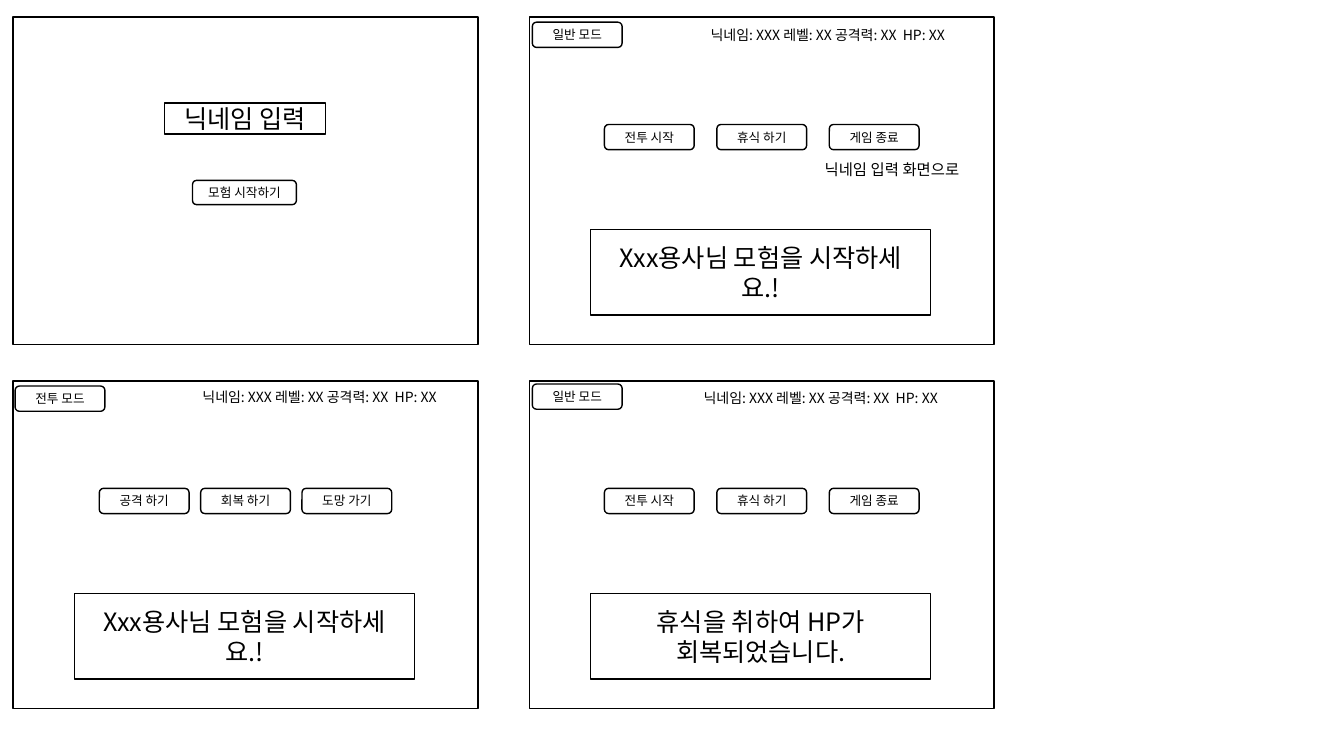
"""Draw four wireframe screens of a hero game on a fine slide grid."""
from dataclasses import dataclass

from lxml.etree import SubElement
from pptx import Presentation
from pptx.dml.color import RGBColor as Rgb
from pptx.enum.shapes import MSO_SHAPE as Kind
from pptx.enum.text import MSO_ANCHOR as Anchor, MSO_AUTO_SIZE as Fit, PP_ALIGN as Align
from pptx.oxml.ns import qn
from pptx.util import Inches, Pt

COLS, ROWS = 1333, 750
WIDE, HIGH = Inches(13.33), Inches(7.5)


@dataclass(frozen=True)
class Theme:
    font: str = "Noto Sans CJK KR"
    ink: Rgb = Rgb(0, 0, 0)
    paper: Rgb = Rgb(255, 255, 255)
    line: float = 1
    large: int = 18
    note: int = 11
    info: int = 10
    small: int = 9


@dataclass(frozen=True)
class Box:
    col: float
    row: float
    wide: float
    high: float

    def move(self, col: float, row: float) -> "Box":
        return Box(self.col + col, self.row + row, self.wide, self.high)

    def place(self) -> tuple[int, int, int, int]:
        return (round(self.col * WIDE / COLS), round(self.row * HIGH / ROWS),
                round(self.wide * WIDE / COLS), round(self.high * HIGH / ROWS))


@dataclass(frozen=True)
class Screen:
    col: int
    row: int
    mode: str
    mode_at: tuple[int, int]
    info_at: tuple[int, int]
    acts: tuple[str, ...]
    step: float
    news: str


THEME = Theme()
FRAME = Box(13, 17, 461, 325)
PITCH = (512, 361)
BUTTON = Box(186, 106.5, 89, 25)
BADGE = Box(0, 0, 89, 25)
INFO = Box(0, 0, 291, 27)
NEWS = Box(61, 210.5, 337, 85)
ENTRY = Box(150, 85, 160, 31)
START = Box(178, 162, 103, 24)
NOTE = Box(283, 137, 171, 29)

STATUS = "닉네임: XXX 레벨: XX 공격력: XX  HP: XX"
GREET = "Xxx용사님 모험을 시작하세요.!"
CALM = ("전투 시작", "휴식 하기", "게임 종료")
FIGHT = ("공격 하기", "회복 하기", "도망 가기")
SCREENS = (
    Screen(1, 0, "일반 모드", (3, 5), (170, 4), CALM, 111.5, GREET),
    Screen(0, 1, "전투 모드", (2, 5), (178, 3), FIGHT, 100.5, GREET),
    Screen(1, 1, "일반 모드", (3, 3), (163, 4), CALM, 111.5,
           "휴식을 취하여 HP가 회복되었습니다."),
)


def write(frame, text: str, *, size: int, align=Align.LEFT, anchor=Anchor.TOP) -> None:
    frame.word_wrap = True
    frame.vertical_anchor = anchor
    para = frame.paragraphs[0]
    para.alignment = align
    run = para.add_run()
    run.text = text
    font = run.font
    font.size, font.name = Pt(size), THEME.font
    font.color.rgb = THEME.ink
    SubElement(run._r.get_or_add_rPr(), qn("a:ea")).set("typeface", THEME.font)


def panel(slide, box: Box, text: str = "", *, kind=Kind.RECTANGLE,
          size: int = THEME.large) -> None:
    shape = slide.shapes.add_shape(kind, *box.place())
    shape.shadow.inherit = False
    shape.fill.solid()
    shape.fill.fore_color.rgb = THEME.paper
    shape.line.color.rgb = THEME.ink
    shape.line.width = Pt(THEME.line)
    if text:
        write(shape.text_frame, text, size=size, align=Align.CENTER, anchor=Anchor.MIDDLE)


def button(slide, box: Box, text: str) -> None:
    panel(slide, box, text, kind=Kind.ROUNDED_RECTANGLE, size=THEME.small)


def label(slide, box: Box, text: str, size: int) -> None:
    frame = slide.shapes.add_textbox(*box.place()).text_frame
    write(frame, text, size=size)
    frame.auto_size = Fit.SHAPE_TO_FIT_TEXT


def origin(col: int, row: int) -> tuple[int, int]:
    return FRAME.col + col * PITCH[0], FRAME.row + row * PITCH[1]


def login(slide) -> None:
    home = origin(0, 0)
    panel(slide, FRAME)
    panel(slide, ENTRY.move(*home), "닉네임 입력")
    button(slide, START.move(*home), "모험 시작하기")


def play(slide, screen: Screen) -> None:
    home = origin(screen.col, screen.row)
    panel(slide, Box(*home, FRAME.wide, FRAME.high))
    button(slide, BADGE.move(*home).move(*screen.mode_at), screen.mode)
    label(slide, INFO.move(*home).move(*screen.info_at), STATUS, THEME.info)
    for i, act in enumerate(screen.acts):
        button(slide, BUTTON.move(*home).move((i - 1) * screen.step, 0), act)
    panel(slide, NEWS.move(*home), screen.news)


def main() -> None:
    deck = Presentation()
    deck.slide_width, deck.slide_height = WIDE, HIGH
    slide = deck.slides.add_slide(deck.slide_layouts[6])
    login(slide)
    for screen in SCREENS:
        play(slide, screen)
    label(slide, NOTE.move(*origin(1, 0)), "닉네임 입력 화면으로", THEME.note)
    deck.save("out.pptx")


if __name__ == "__main__":
    main()
